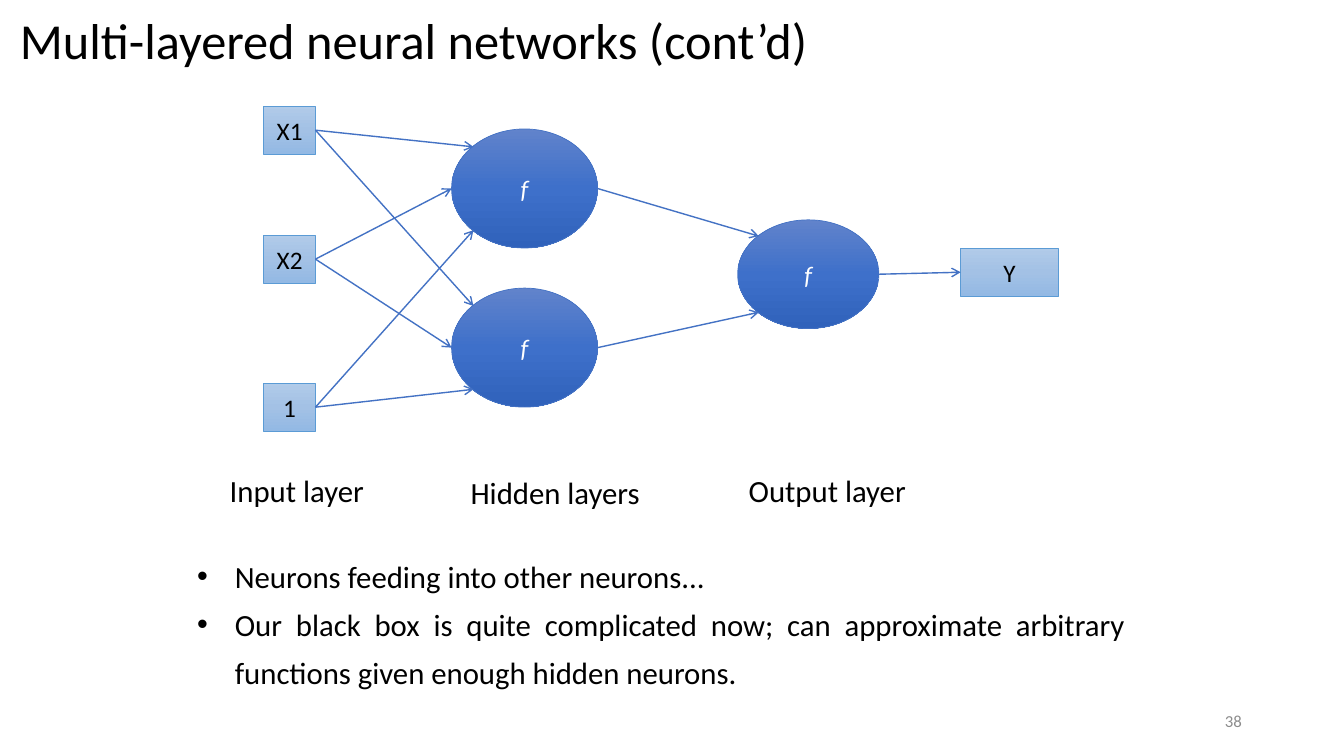
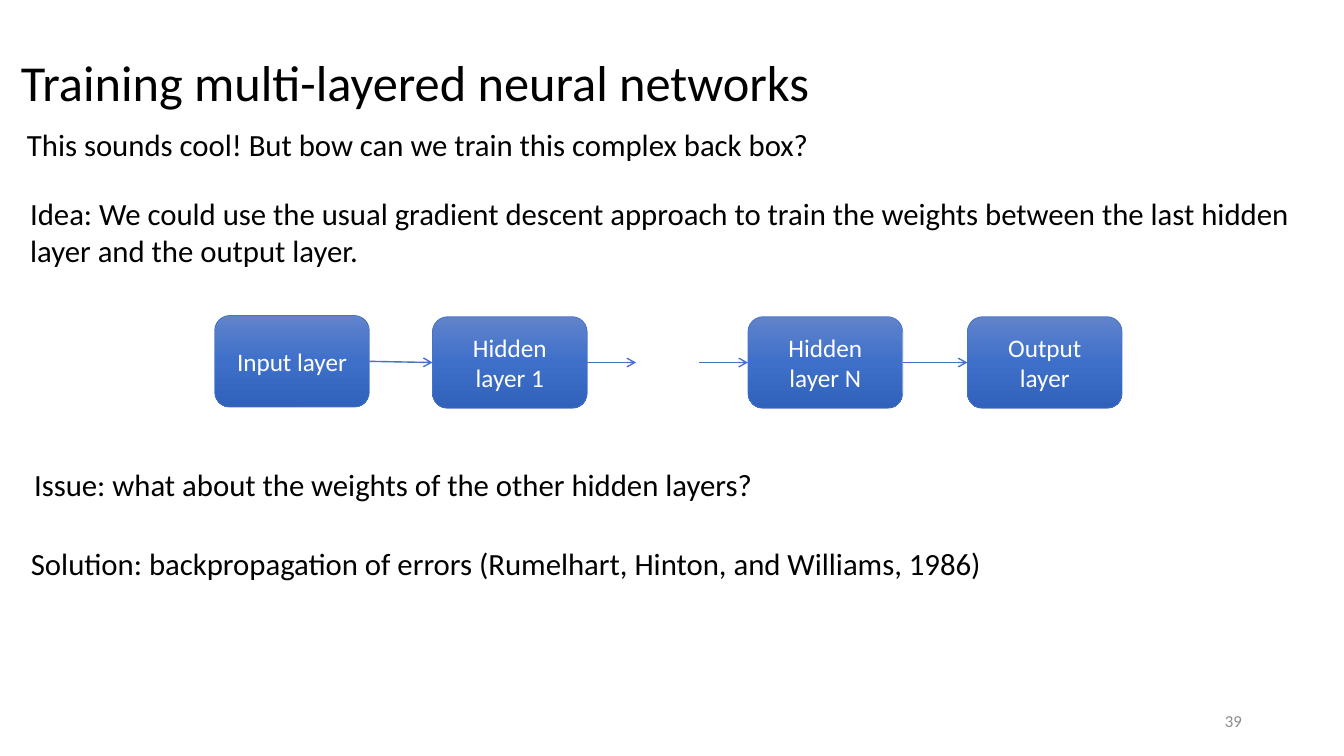
import copy

import lxml.etree
import pptx
import pptx.dml.color
import pptx.enum.shapes
import pptx.enum.text
import pptx.oxml.ns
import pptx.util

Cm = pptx.util.Cm
Pt = pptx.util.Pt
RGBColor = pptx.dml.color.RGBColor
SHAPE = pptx.enum.shapes.MSO_SHAPE
ALIGN = pptx.enum.text.PP_ALIGN
ANCHOR = pptx.enum.text.MSO_ANCHOR
qn = pptx.oxml.ns.qn

BLACK = RGBColor(0x00, 0x00, 0x00)
WHITE = RGBColor(0xFF, 0xFF, 0xFF)
GRAY = RGBColor(0x8C, 0x8C, 0x8C)
BLUE = RGBColor(0x44, 0x72, 0xC4)
SKY = RGBColor(0x5B, 0x9B, 0xD5)
DEEP = (RGBColor(0x61, 0x83, 0xCB), RGBColor(0x3E, 0x70, 0xCA), RGBColor(0x30, 0x62, 0xBB))
PALE = (RGBColor(0xB1, 0xCB, 0xE9), RGBColor(0xA3, 0xC1, 0xE5), RGBColor(0x93, 0xB9, 0xE4))

LEFT = (0, 0.5)
RIGHT = (1, 0.5)
UPPER = (0.15, 0.15)
LOWER = (0.15, 0.85)


class Deck:
    font = "Calibri"
    body = 22
    label = 18

    def __init__(self):
        self.show = pptx.Presentation()
        self.show.slide_width = Cm(33.87)
        self.show.slide_height = Cm(19.05)
        self.slide = None

    def page(self, title, number, left, top):
        self.slide = self.show.slides.add_slide(self.show.slide_layouts[6])
        self.text(title, left, top, 24.1, 3.18, size=36, anchor=ANCHOR.MIDDLE)
        self.text(str(number), 23.93, 17.65, 7.62, 1.02, size=12, color=GRAY,
                  align=ALIGN.RIGHT, anchor=ANCHOR.MIDDLE)

    def add_run(self, par, words, size, color, align, slant=False):
        par.alignment = align
        run = par.add_run()
        run.text = words
        run.font.name = self.font
        run.font.size = Pt(size)
        run.font.color.rgb = color
        run.font.italic = slant

    def frame(self, left, top, width, height, anchor=ANCHOR.TOP):
        box = self.slide.shapes.add_textbox(Cm(left), Cm(top), Cm(width), Cm(height))
        box.text_frame.word_wrap = True
        box.text_frame.vertical_anchor = anchor
        return box.text_frame

    def text(self, words, left, top, width, height=1.19, size=body, color=BLACK,
             align=ALIGN.LEFT, anchor=ANCHOR.TOP):
        frame = self.frame(left, top, width, height, anchor)
        self.add_run(frame.paragraphs[0], words, size, color, align)

    def bullets(self, items, left, top, width, height):
        frame = self.frame(left, top, width, height)
        for i, words in enumerate(items):
            par = frame.add_paragraph() if i else frame.paragraphs[0]
            props = par._p.get_or_add_pPr()
            props.set("marL", str(Cm(0.95)))
            props.set("indent", str(-Cm(0.95)))
            lxml.etree.SubElement(props, qn("a:buFont"), typeface="Arial")
            lxml.etree.SubElement(props, qn("a:buChar"), char="•")
            par.line_spacing = 1.3
            self.add_run(par, words, self.body, BLACK, ALIGN.JUSTIFY)

    def shape(self, kind, words, left, top, width, height, shades, edge, color, slant=False):
        shape = self.slide.shapes.add_shape(kind, Cm(left), Cm(top), Cm(width), Cm(height))
        shape.shadow.inherit = False
        shape.line.color.rgb = edge
        shape.line.width = Pt(0.5)
        shape.fill.gradient()
        shape.fill.gradient_angle = 270
        stops = shape._element.spPr.find(".//" + qn("a:gsLst"))
        stops.insert(1, copy.deepcopy(stops[0]))
        for stop, shade, place in zip(shape.fill.gradient_stops, shades, (0, 0.5, 1)):
            stop.color.rgb = shade
            stop.position = place
        frame = shape.text_frame
        frame.word_wrap = True
        frame.vertical_anchor = ANCHOR.MIDDLE
        self.add_run(frame.paragraphs[0], words, self.label, color, ALIGN.CENTER, slant)
        return shape

    def port(self, words, left, top, width=1.3):
        return self.shape(SHAPE.RECTANGLE, words, left, top, width, 1.22, PALE, SKY, BLACK)

    def neuron(self, left, top, width, height):
        return self.shape(SHAPE.OVAL, "f", left, top, width, height, DEEP, BLUE, WHITE, True)

    def layer(self, words, left, top):
        return self.shape(SHAPE.ROUNDED_RECTANGLE, words, left, top, 3.9, 2.31,
                          DEEP, BLUE, WHITE)

    def spot(self, shape, side):
        return (int(shape.left + side[0] * shape.width),
                int(shape.top + side[1] * shape.height))

    def arrow(self, start, end):
        line = self.slide.shapes.add_connector(
            pptx.enum.shapes.MSO_CONNECTOR.STRAIGHT, *start, *end)
        line.line.color.rgb = BLUE
        line.line.width = Pt(1)
        lxml.etree.SubElement(line.line._get_or_add_ln(), qn("a:tailEnd"), type="arrow")
        lxml.etree.SubElement(line._element.spPr, qn("a:effectLst"))

    def link(self, source, target, side=LEFT):
        self.arrow(self.spot(source, RIGHT), self.spot(target, side))


def network(deck):
    deck.page("Multi-layered neural networks (cont’d)", 38, 0.25, -0.61)
    inputs = [deck.port(words, 6.65, top)
              for words, top in (("X1", 2.67), ("X2", 5.92), ("1", 9.65))]
    hidden = [deck.neuron(11.38, top, 3.68, 3) for top in (3.25, 7.26)]
    output = deck.neuron(18.59, 5.54, 3.56, 2.74)
    result = deck.port("Y", 24.21, 6.25, 2.46)
    for neuron in hidden:
        for port, side in zip(inputs, (UPPER, LEFT, LOWER)):
            deck.link(port, neuron, side)
    for neuron, side in zip(hidden, (UPPER, LOWER)):
        deck.link(neuron, output, side)
    deck.link(output, result)
    for words, left, top in (("Input layer", 5.54, 11.76),
                             ("Hidden layers", 11.61, 11.81),
                             ("Output layer", 18.62, 11.76)):
        deck.text(words, left, top, 5)
    deck.bullets(("Neurons feeding into other neurons...",
                  "Our black box is quite complicated now; can approximate arbitrary "
                  "functions given enough hidden neurons."), 4.72, 13.64, 23.88, 3.91)


def training(deck):
    deck.page("Training multi-layered neural networks", 39, 0.28, 0.46)
    deck.text("This sounds cool! But bow can we train this complex back box?",
              0.43, 3.05, 20.5)
    deck.text("Idea: We could use the usual gradient descent approach to train the weights "
              "between the last hidden layer and the output layer.", 0.51, 4.78, 32.39, 2.13)
    first, second, third, last = [
        deck.layer(words, left, top) for words, left, top in (
            ("Input layer", 5.41, 7.95), ("Hidden layer 1", 10.9, 7.98),
            ("Hidden layer N", 18.85, 7.98), ("Output layer", 24.38, 7.98))]
    deck.link(first, second)
    deck.link(third, last)
    x, y = deck.spot(second, RIGHT)
    deck.arrow((x, y), (x + Cm(1.23), y))
    x, y = deck.spot(third, LEFT)
    deck.arrow((x - Cm(1.23), y), (x, y))
    deck.text("Issue: what about the weights of the other hidden layers?", 0.61, 11.61, 20.96)
    deck.text("Solution: backpropagation of errors (Rumelhart, Hinton, and Williams, 1986)",
              0.53, 13.59, 25.27)


def main():
    deck = Deck()
    network(deck)
    training(deck)
    deck.show.save("out.pptx")


if __name__ == "__main__":
    main()
